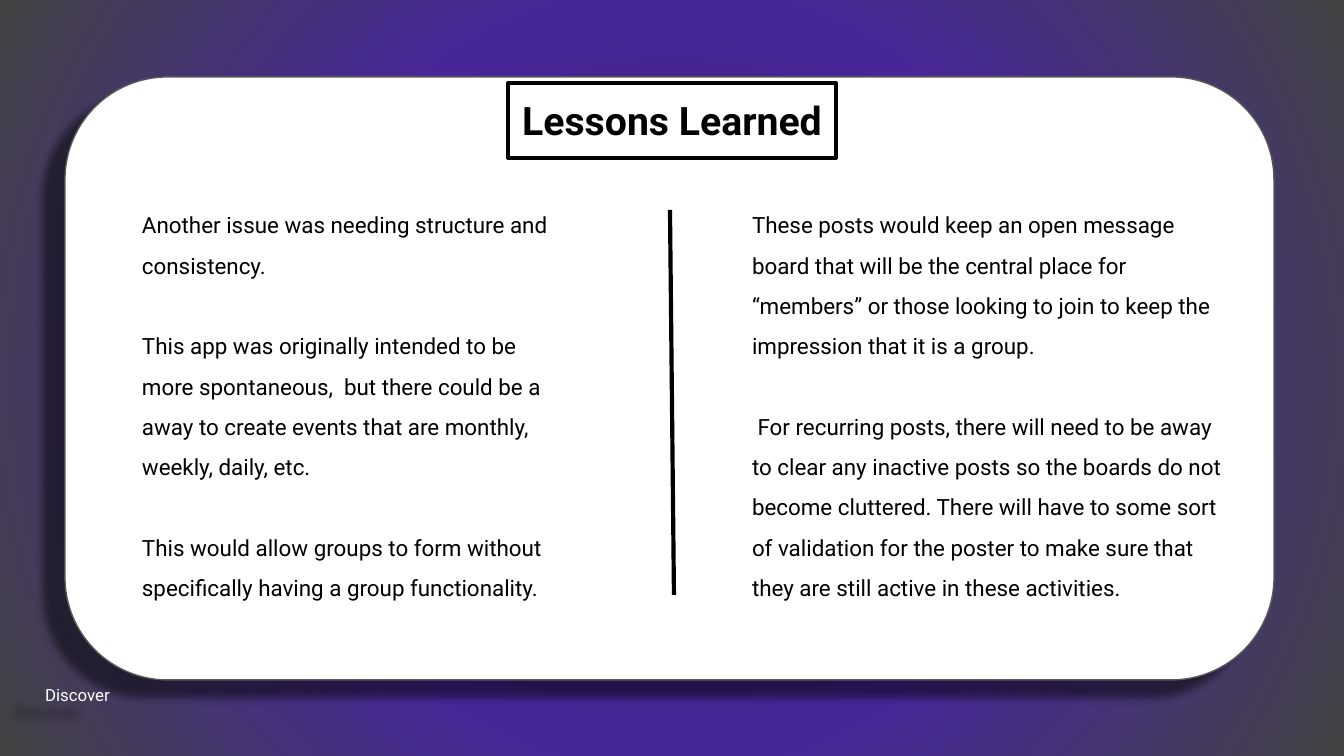
import pptx
import pptx.dml.color
import pptx.enum.shapes
import pptx.enum.text
import pptx.oxml
import pptx.oxml.ns
import pptx.util

RGBColor = pptx.dml.color.RGBColor
BLACK = RGBColor(0x00, 0x00, 0x00)
WHITE = RGBColor(0xFF, 0xFF, 0xFF)
GREY = RGBColor(0x59, 0x59, 0x59)
BACKDROP_STOPS = [
    (0, RGBColor(0x35, 0x1C, 0x75)),
    (50, RGBColor(0x47, 0x27, 0x98)),
    (100, RGBColor(0x43, 0x43, 0x43)),
]

FONT = "Roboto"
TITLE = "Lessons Learned"
TITLE_BOX = (508, 83, 328, 75)
CARD_BOX = (65, 77, 1209, 603)
DIVIDER = (670, 210, 674, 595)
FOOTER = "Discover"
FOOTER_BOX = (32, 675, 97, 47)
COLUMNS = [
    ((129, 185, 441, 421), [
        "Another issue was needing structure and consistency.",
        "This app was originally intended to be more spontaneous,  but there could be a  "
        "away to create events that are monthly, weekly, daily, etc.",
        "This would allow groups to form without specifically having a group functionality.",
    ]),
    ((739, 185, 504, 421), [
        "These posts would keep an open message board that will be the central place for "
        "“members” or those looking to join to keep the impression that it is a group.",
        " For recurring posts, there will need to be away to clear any inactive posts so the "
        "boards do not become cluttered. There will have to some sort of validation for the "
        "poster to make sure that they are still active in these activities.",
    ]),
]

SCALE = 914400 / 134.4
INSET = 13
BLANK_LINE = 21.6
A = pptx.oxml.ns.nsdecls("a")


def px(length):
    return pptx.util.Emu(round(length * SCALE))


def box(corners):
    return [px(length) for length in corners]


def cast_shadow(shape, opacity, blur, distance, angle):
    pt = pptx.util.Pt
    effects = pptx.oxml.parse_xml(
        f'<a:effectLst {A}><a:outerShdw blurRad="{pt(blur)}" dist="{pt(distance)}" '
        f'dir="{angle * 60000}" algn="bl" rotWithShape="0"><a:srgbClr val="{BLACK}">'
        f'<a:alpha val="{opacity * 1000}"/></a:srgbClr></a:outerShdw></a:effectLst>')
    shape.shadow.inherit = False
    properties = shape._element.spPr
    properties.replace(properties.find(pptx.oxml.ns.qn("a:effectLst")), effects)


def outlined(kind, corners, line_color, line_width):
    shape = slide.shapes.add_shape(kind, *box(corners))
    shape.shadow.inherit = False
    shape.fill.background()
    shape.line.color.rgb = line_color
    shape.line.width = pptx.util.Pt(line_width)
    return shape


def write(shape, paragraphs, size, color=BLACK, bold=False, spacing=1.0):
    frame = shape.text_frame
    frame.word_wrap = True
    frame.vertical_anchor = pptx.enum.text.MSO_ANCHOR.TOP
    frame.margin_left = frame.margin_right = px(INSET)
    frame.margin_top = frame.margin_bottom = px(INSET)
    for index, text in enumerate(paragraphs):
        paragraph = frame.add_paragraph() if index else frame.paragraphs[0]
        paragraph.line_spacing = spacing
        if index:
            paragraph.space_before = pptx.util.Pt(BLANK_LINE)
        run = paragraph.add_run()
        run.text = text
        run.font.name = FONT
        run.font.size = pptx.util.Pt(size)
        run.font.bold = bold
        run.font.color.rgb = color


deck = pptx.Presentation()
deck.slide_width, deck.slide_height = box((1344, 756))
slide = deck.slides.add_slide(deck.slide_layouts[6])

slide.background.fill.gradient()
backdrop = slide._element.cSld.find(".//" + pptx.oxml.ns.qn("a:gradFill"))
stops = "".join(
    f'<a:gs pos="{position * 1000}"><a:srgbClr val="{color}"/></a:gs>'
    for position, color in BACKDROP_STOPS)
backdrop.getparent().replace(backdrop, pptx.oxml.parse_xml(
    f'<a:gradFill {A}><a:gsLst>{stops}</a:gsLst><a:path path="circle">'
    '<a:fillToRect l="50000" t="50000" r="50000" b="50000"/></a:path></a:gradFill>'))

presets = pptx.enum.shapes.MSO_SHAPE
card = outlined(presets.ROUNDED_RECTANGLE, CARD_BOX, GREY, 0.75)
card.adjustments[0] = 0.17
card.fill.solid()
card.fill.fore_color.rgb = WHITE
cast_shadow(card, 48, 4.5, 15, 140)

title = outlined(presets.RECTANGLE, TITLE_BOX, BLACK, 2.25)
title.line._ln.append(pptx.oxml.parse_xml(f"<a:round {A}/>"))
write(title, [TITLE], 21, bold=True)
title.text_frame.word_wrap = False
title.text_frame.paragraphs[0].alignment = pptx.enum.text.PP_ALIGN.CENTER

for corners, paragraphs in COLUMNS:
    write(slide.shapes.add_textbox(*box(corners)), paragraphs, 12, spacing=1.5)

footer = slide.shapes.add_textbox(*box(FOOTER_BOX))
write(footer, [FOOTER], 9, WHITE)
cast_shadow(footer, 50, 4.5, 19, 152)

divider = slide.shapes.add_connector(
    pptx.enum.shapes.MSO_CONNECTOR.STRAIGHT, *box(DIVIDER))
divider.line.color.rgb = BLACK
divider.line.width = pptx.util.Pt(2.25)
divider._element.spPr.append(pptx.oxml.parse_xml(f"<a:effectLst {A}/>"))

deck.save("out.pptx")
